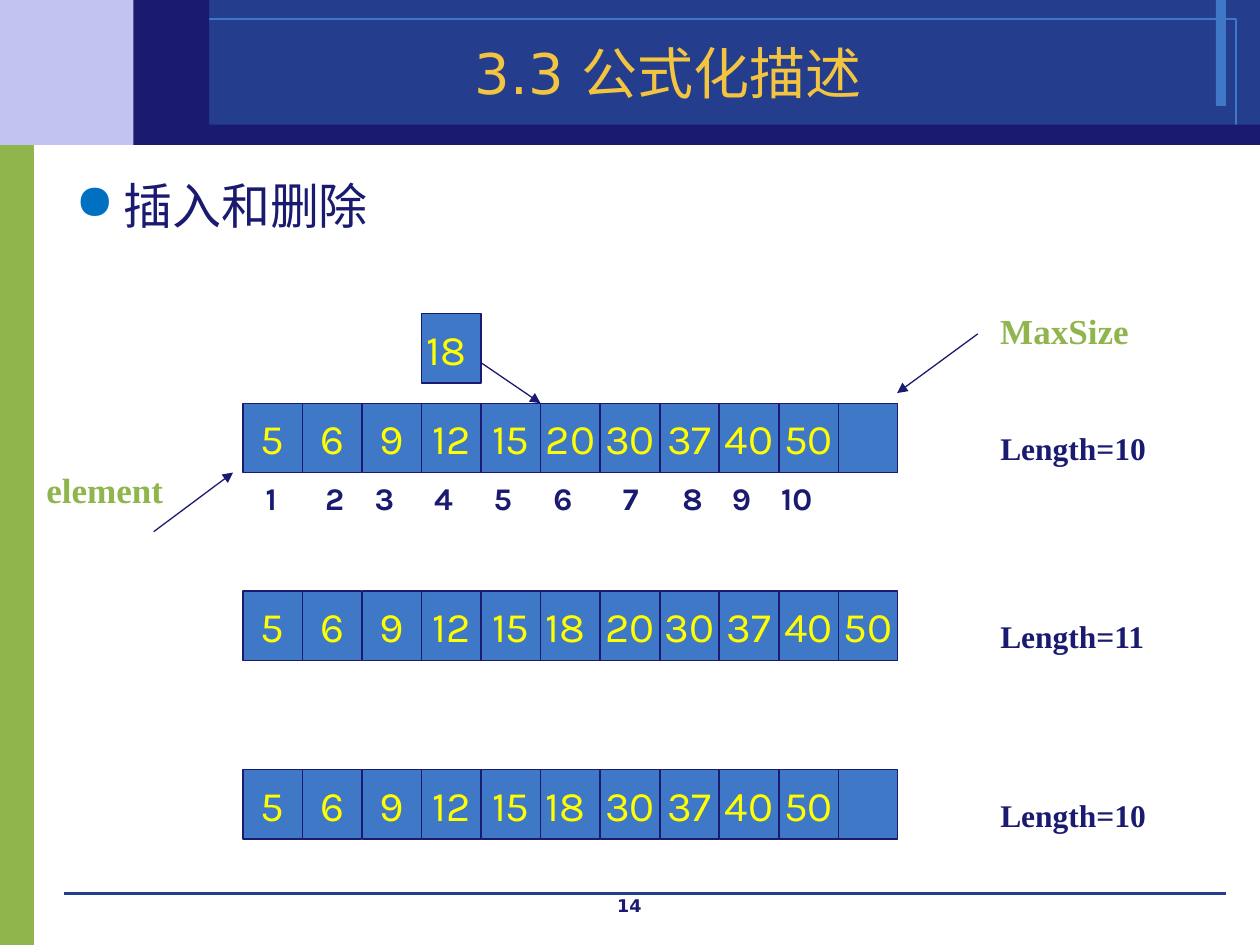
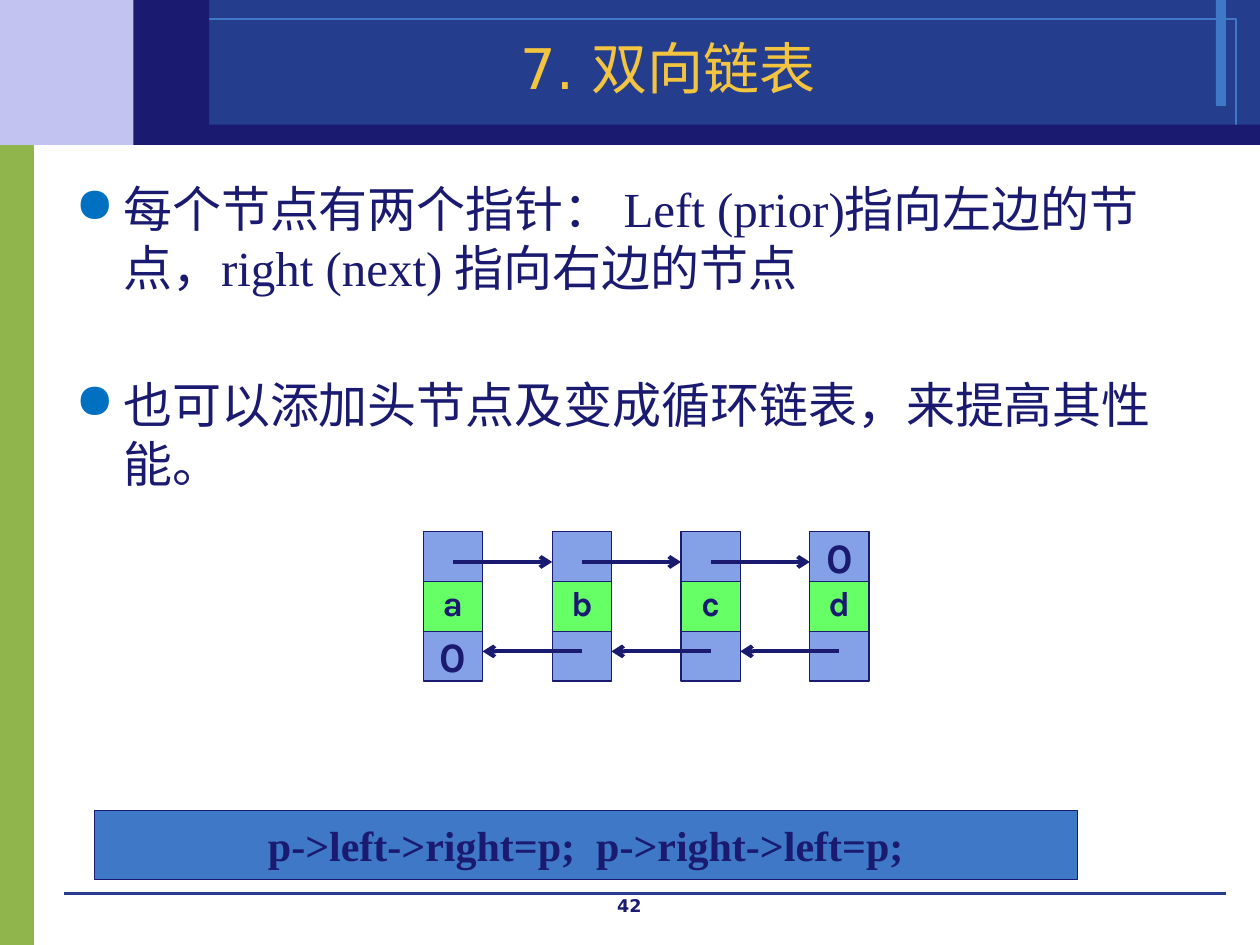
from lxml import etree
from pptx import Presentation
from pptx.dml.color import RGBColor
from pptx.enum import shapes, text
from pptx.oxml.ns import qn
from pptx.util import Inches, Pt

NAVY = RGBColor(0x1A, 0x1A, 0x70)
ROYAL = RGBColor(0x24, 0x3D, 0x8C)
BLUE = RGBColor(0x3E, 0x78, 0xC6)
LAVENDER = RGBColor(0xC3, 0xC3, 0xF1)
OLIVE = RGBColor(0x90, 0xB5, 0x4D)
GOLD = RGBColor(0xF3, 0xC4, 0x3F)
YELLOW = RGBColor(0xFF, 0xFF, 0x00)
PERIWINKLE = RGBColor(0x84, 0xA1, 0xE8)
LIME = RGBColor(0x66, 0xFF, 0x66)
BULLET = RGBColor(0x00, 0x70, 0xC0)

SANS, KARLA, TIMES = "DejaVu Sans", "Karla", "Times New Roman"
LEFT, CENTER = text.PP_ALIGN.LEFT, text.PP_ALIGN.CENTER
TOP, MIDDLE = text.MSO_ANCHOR.TOP, text.MSO_ANCHOR.MIDDLE

# Slide frame: left, top, width, height, fill, line
BANDS = [
    (0, 1.07, 0.27, 6.44, OLIVE, None),
    (0, 0, 1.53, 1.15, LAVENDER, None),
    (1.53, 0, 8.47, 1.15, ROYAL, None),
    (9.65, 0, 0.08, 0.84, BLUE, None),
    (1.19, 0.15, 8.62, 0.85, None, BLUE),
    (1.3, 0.99, 8.7, 0.16, NAVY, None),
    (1.06, 0, 0.6, 1.15, NAVY, None),
]

# Array slide
ARRAY_TITLE = "3.3 公式化描述"
ARRAY_BULLETS = ["插入和删除"]
ARRAYS = [  # top, values, length label
    (3.2, ["5", "6", "9", "12", "15", "20", "30", "37", "40", "50", ""], "Length=10"),
    (4.69, ["5", "6", "9", "12", "15", "18 ", "20", "30", "37", "40", "50"], "Length=11"),
    (6.11, ["5", "6", "9", "12", "15", "18 ", "30", "37", "40", "50", ""], "Length=10"),
]
ARRAY_LEFT, CELL_PITCH, CELL_WIDTH, CELL_HEIGHT = 1.93, 0.4725, 0.47, 0.55
INDEX_NUDGES = [0.08, 0.08, 0, 0, 0, 0, 0.08, 0.08, 0, -0.08]
INSERTED = ("18 ", 3, 2.49)  # value, column, top
CALLOUTS = [("MaxSize", 7.84, 2.41, 1.34), ("element", 0.27, 3.67, 1.23)]
ARRAY_ARROWS = [
    ((3.82, 2.88), (4.29, 3.2)),
    ((7.76, 2.65), (7.12, 3.12)),
    ((1.22, 4.22), (1.85, 3.75)),
]

# Linked list slide
LIST_TITLE = "7. 双向链表"
LIST_BULLETS = [
    "每个节点有两个指针： Left (prior)指向左边的节点，right (next) 指向右边的节点",
    "也可以添加头节点及变成循环链表，来提高其性能。",
]
NODES = [("", "a", "0"), ("", "b", ""), ("", "c", ""), ("0", "d", "")]
NODE_LEFT, NODE_TOP, NODE_PITCH = 3.36, 4.22, 1.0225
NODE_WIDTH, FIELD_HEIGHT = 0.47, 0.395
RIGHT_POINTER_Y, LEFT_POINTER_Y = 4.46, 5.17
LIST_CODE = "p->left->right=p;  p->right->left=p;"


def write(shape, words, font, size, color, bold=False, align=LEFT,
          anchor=TOP, wrap=True, line_spacing=None):
    frame = shape.text_frame
    frame.word_wrap = wrap
    frame.vertical_anchor = anchor
    paragraph = frame.paragraphs[0]
    paragraph.alignment = align
    if line_spacing:
        paragraph.line_spacing = line_spacing
    add_run(paragraph, words, font, size, color, bold)


def add_run(paragraph, words, font, size, color, bold=False):
    run = paragraph.add_run()
    run.text = words
    run.font.name = font
    run.font.size = Pt(size)
    run.font.bold = bold
    run.font.color.rgb = color


def add_text(slide, box, words, *style, **layout):
    write(slide.shapes.add_textbox(*map(Inches, box)), words, *style, **layout)


def add_rectangle(parent, box, fill, line=None, line_width=0.75):
    shape = parent.shapes.add_shape(shapes.MSO_SHAPE.RECTANGLE, *map(Inches, box))
    shape.shadow.inherit = False
    if fill is None:
        shape.fill.background()
    else:
        shape.fill.solid()
        shape.fill.fore_color.rgb = fill
    if line is None:
        shape.line.fill.background()
    else:
        shape.line.color.rgb = line
        shape.line.width = Pt(line_width)
    return shape


def add_cell(parent, box, fill, words, *style, **layout):
    cell = add_rectangle(parent, box, fill, NAVY)
    if words:
        write(cell, words, *style, align=CENTER, anchor=MIDDLE, wrap=False, **layout)


def add_line(slide, start, end, color, width, head=None):
    connector = slide.shapes.add_connector(
        shapes.MSO_CONNECTOR.STRAIGHT, *map(Inches, start + end))
    connector.line.color.rgb = color
    connector.line.width = Pt(width)
    if head:
        etree.SubElement(connector.line._get_or_add_ln(), qn("a:tailEnd"), type=head)
    etree.SubElement(connector._element.spPr, qn("a:effectLst"))


def add_bullets(slide, top, bullets):
    box = slide.shapes.add_textbox(*map(Inches, (0.5, top, 9, 5.74)))
    frame = box.text_frame
    frame.word_wrap = True
    for number, words in enumerate(bullets):
        paragraph = frame.add_paragraph() if number else frame.paragraphs[0]
        if number:
            paragraph.space_before = Pt(44.5)
        properties = paragraph._p.get_or_add_pPr()
        properties.set("marL", str(Inches(0.38)))
        properties.set("indent", str(-Inches(0.38)))
        color = etree.SubElement(properties, qn("a:buClr"))
        etree.SubElement(color, qn("a:srgbClr"), val=str(BULLET))
        etree.SubElement(properties, qn("a:buChar"), char="●")
        add_run(paragraph, words, TIMES, 28, NAVY)


def add_framed_slide(presentation, title, number, title_spacing=None):
    slide = presentation.slides.add_slide(presentation.slide_layouts[6])
    for *box, fill, line in BANDS:
        add_rectangle(slide, box, fill, line, line_width=0)
    add_line(slide, (0.51, 7.09), (9.73, 7.09), ROYAL, 0)
    add_text(slide, (3.83, 7.05, 2.33, 0.25), number, SANS, 10, NAVY, True, align=CENTER)
    add_text(slide, (1.19, 0.26, 8.23, 0.62), title, SANS, 32, GOLD,
             align=CENTER, anchor=MIDDLE, line_spacing=title_spacing)
    return slide


def column_left(column):
    return ARRAY_LEFT + column * CELL_PITCH


def add_array_cell(slide, column, top, value):
    box = (column_left(column), top, CELL_WIDTH, CELL_HEIGHT)
    add_cell(slide, box, BLUE, value, KARLA, 24, YELLOW)


def build_array_slide(presentation):
    slide = add_framed_slide(presentation, ARRAY_TITLE, "14")
    add_bullets(slide, 1.34, ARRAY_BULLETS)
    for top, values, length in ARRAYS:
        for column, value in enumerate(values):
            add_array_cell(slide, column, top, value)
        add_text(slide, (7.84, top + 0.16, 1.65, 0.4), length, TIMES, 18, NAVY, True)
    for column, nudge in enumerate(INDEX_NUDGES):
        width = 0.39 if column < 9 else 0.63
        add_text(slide, (column_left(column) + nudge, 3.75, width, 0.4),
                 str(column + 1), KARLA, 18, NAVY, True)
    value, column, top = INSERTED
    add_array_cell(slide, column, top, value)
    for words, left, top, width in CALLOUTS:
        add_text(slide, (left, top, width, 0.43), words, TIMES, 20, OLIVE, True)
    for start, end in ARRAY_ARROWS:
        add_line(slide, start, end, NAVY, 0.75, "triangle")


def build_list_slide(presentation):
    slide = add_framed_slide(presentation, LIST_TITLE, "42", title_spacing=0.9)
    add_bullets(slide, 1.37, LIST_BULLETS)
    lefts = [NODE_LEFT + number * NODE_PITCH for number in range(len(NODES))]
    for left, (right_pointer, data, left_pointer) in zip(lefts, NODES):
        node = slide.shapes.add_group_shape()
        fields = [(right_pointer, PERIWINKLE, 24, None), (data, LIME, 20, 0.8),
                  (left_pointer, PERIWINKLE, 24, None)]
        for row, (words, fill, size, spacing) in enumerate(fields):
            box = (left, NODE_TOP + row * FIELD_HEIGHT, NODE_WIDTH, FIELD_HEIGHT)
            add_cell(node, box, fill, words, KARLA, size, NAVY, True, line_spacing=spacing)
    for left, following in zip(lefts, lefts[1:]):
        half = NODE_WIDTH / 2
        add_line(slide, (left + half, RIGHT_POINTER_Y), (following, RIGHT_POINTER_Y),
                 NAVY, 2.25, "arrow")
        add_line(slide, (following + half, LEFT_POINTER_Y),
                 (left + NODE_WIDTH, LEFT_POINTER_Y), NAVY, 2.25, "arrow")
    add_cell(slide, (0.75, 6.43, 7.8, 0.55), BLUE, LIST_CODE, TIMES, 24, NAVY, True)


def main():
    presentation = Presentation()
    presentation.slide_width = Inches(10)
    presentation.slide_height = Inches(7.5)
    build_array_slide(presentation)
    build_list_slide(presentation)
    presentation.save("out.pptx")


if __name__ == "__main__":
    main()
